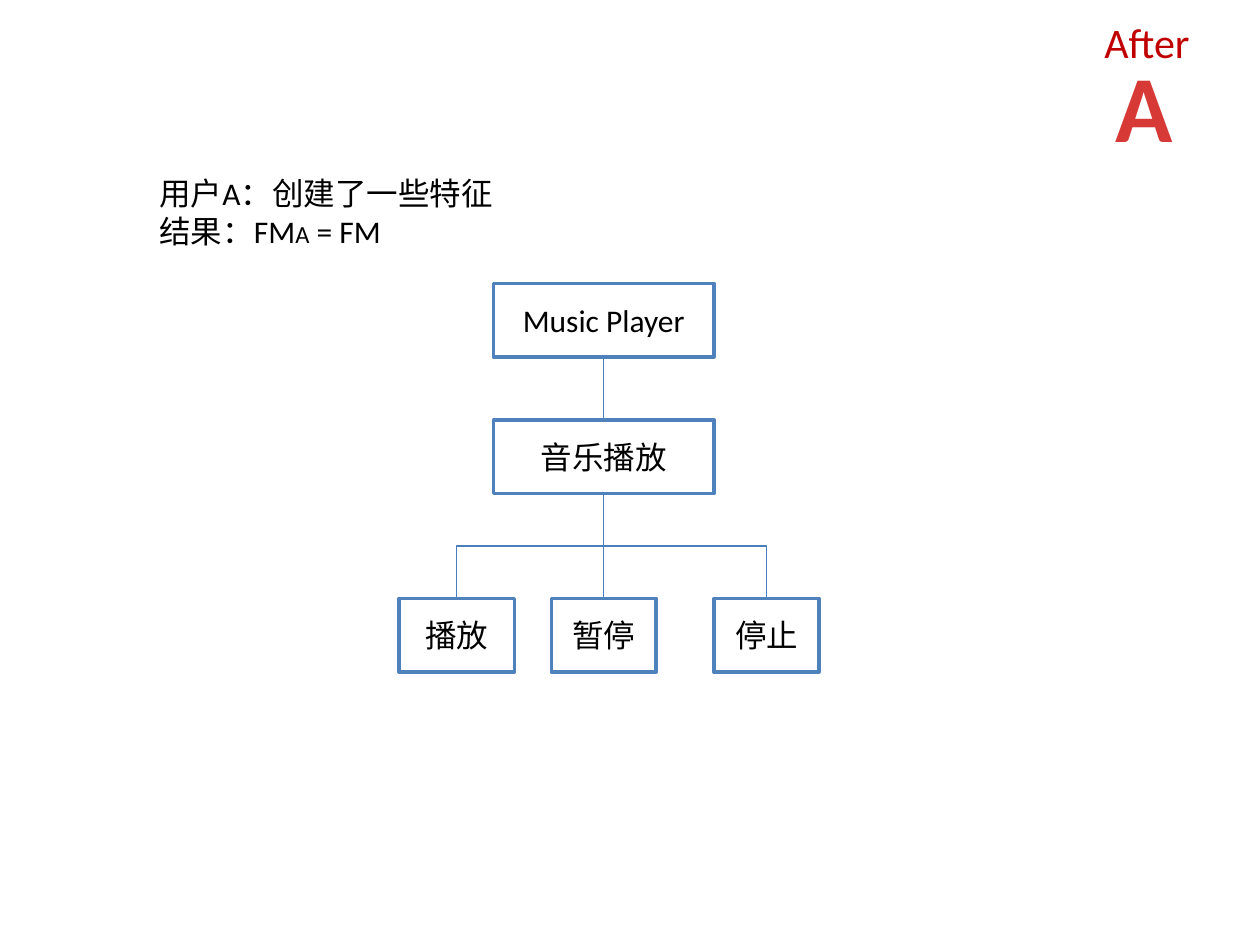
from lxml.etree import SubElement
from pptx import Presentation
from pptx.dml.color import RGBColor
from pptx.enum.shapes import MSO_CONNECTOR, MSO_SHAPE
from pptx.enum.text import MSO_ANCHOR, PP_ALIGN
from pptx.oxml.ns import qn
from pptx.util import Emu, Pt

FONT = "Calibri"
BLACK, WHITE, BLUE, LINE_BLUE = "000000", "FFFFFF", "4F81BD", "4B7EBC"
RED, DARK_RED = "D73A36", "C00000"


def px(n):
    """120 px to the inch."""
    return Emu(round(n * 914400 / 120))


def rgb(value):
    return RGBColor.from_string(value)


def write(tf, lines, size=18, color=BLACK, bold=False, align=PP_ALIGN.LEFT):
    """Each line is a list of runs: a string, or a (string, size) pair."""
    for i, runs in enumerate(lines):
        p = tf.paragraphs[0] if i == 0 else tf.add_paragraph()
        p.alignment = align
        for run in runs:
            text, run_size = run if isinstance(run, tuple) else (run, size)
            r = p.add_run()
            r.text = text
            r.font.name = FONT
            r.font.size = Pt(run_size)
            r.font.bold = bold
            r.font.color.rgb = rgb(color)


def add_text(s, x, y, w, h, lines, wrap=True, **fmt):
    tf = s.shapes.add_textbox(px(x), px(y), px(w), px(h)).text_frame
    tf.word_wrap = wrap
    write(tf, lines, **fmt)


def add_feature(s, center, y, w, h, label):
    sp = s.shapes.add_shape(MSO_SHAPE.RECTANGLE, px(center - w / 2), px(y), px(w), px(h))
    sp.shadow.inherit = False
    sp.fill.solid()
    sp.fill.fore_color.rgb = rgb(WHITE)
    sp.line.color.rgb = rgb(BLUE)
    sp.line.width = Pt(2)
    tf = sp.text_frame
    tf.word_wrap = True
    tf.vertical_anchor = MSO_ANCHOR.MIDDLE
    write(tf, [[label]], align=PP_ALIGN.CENTER)


def add_branch(s, x1, y1, x2, y2):
    """Link a parent's bottom to a child's top, down first, then across."""
    if x1 == x2:
        kind, ends, turn = MSO_CONNECTOR.STRAIGHT, (x1, y1, x2, y2), 0
    else:
        # An elbow runs sideways first, so it is laid flat and turned about its centre.
        cx, cy = (x1 + x2) / 2, (y1 + y2) / 2
        half_w, half_h = (y2 - y1) / 2, abs(x2 - x1) / 2
        side = 1 if x2 > x1 else -1
        kind = MSO_CONNECTOR.ELBOW
        ends = (cx + side * half_w, cy - half_h, cx - side * half_w, cy + half_h)
        turn = 270 if x2 > x1 else 90
    c = s.shapes.add_connector(kind, *map(px, ends))
    c.line.color.rgb = rgb(LINE_BLUE)
    c.line.width = Pt(0.75)
    props = c._element.spPr
    if turn:
        props.find(qn("a:xfrm")).set("rot", str(turn * 60000))
    SubElement(props, qn("a:effectLst"))


def add_feature_tree(s, x, y):
    h, trunk, parent_y, leaf_y = 70, 195, 130, 300
    leaves = [("播放", 55, 110), ("暂停", trunk, 100), ("停止", 350, 100)]
    for label, top in [("Music Player", 0), ("音乐播放", parent_y)]:
        add_feature(s, x + trunk, y + top, 210, h, label)
    add_branch(s, x + trunk, y + h, x + trunk, y + parent_y)
    for label, center, w in leaves:
        add_branch(s, x + trunk, y + parent_y + h, x + center, y + leaf_y)
        add_feature(s, x + center, y + leaf_y, w, h, label)


def add_stage_mark(s, x, y):
    add_text(s, x + 10, y + 30, 79, 121, [["A"]], wrap=False, size=54,
             color=RED, bold=True, align=PP_ALIGN.CENTER)
    add_text(s, x, y, 180, 60, [["After"]], size=24, color=DARK_RED)


def main():
    prs = Presentation()
    prs.slide_width, prs.slide_height = px(1200), px(900)
    s = prs.slides.add_slide(prs.slide_layouts[6])
    add_feature_tree(s, 380, 270)
    add_text(s, 140, 160, 610, 85,
             [["用户A：创建了一些特征"], ["结果：FM", ("A", 14), " = FM"]])
    add_stage_mark(s, 1040, 10)
    prs.save("out.pptx")


if __name__ == "__main__":
    main()
